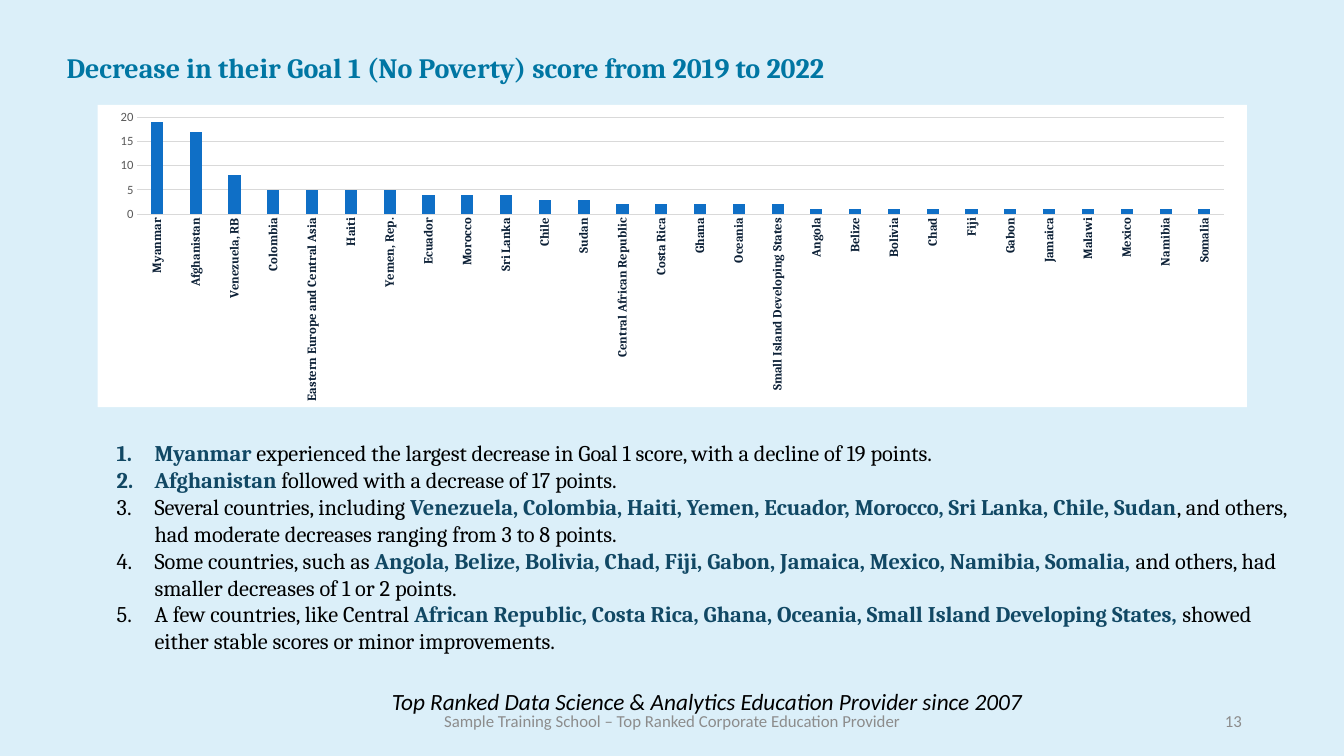
from lxml import etree
from pptx import Presentation
from pptx.chart.data import CategoryChartData
from pptx.dml.color import RGBColor
from pptx.enum.chart import XL_CHART_TYPE as ChartType, XL_TICK_MARK as TickMark
from pptx.enum.text import MSO_ANCHOR as Anchor, PP_ALIGN as Align
from pptx.oxml import parse_xml
from pptx.oxml.ns import nsdecls, qn
from pptx.util import Pt

COLORS = {
    "background": "DBEFF9", "title": "0076A3", "accent": "114864",
    "text": "000000", "muted": "8C8C8C", "bar": "0F6FC6",
    "grid": "D9D9D9", "category": "0C2036", "value": "595959", "panel": "FFFFFF",
}

DECREASES = {
    19: ["Myanmar"],
    17: ["Afghanistan"],
    8: ["Venezuela, RB"],
    5: ["Colombia", "Eastern Europe and Central Asia", "Haiti", "Yemen, Rep."],
    4: ["Ecuador", "Morocco", "Sri Lanka"],
    3: ["Chile", "Sudan"],
    2: ["Central African Republic", "Costa Rica", "Ghana", "Oceania",
        "Small Island Developing States"],
    1: ["Angola", "Belize", "Bolivia", "Chad", "Fiji", "Gabon", "Jamaica",
        "Malawi", "Mexico", "Namibia", "Somalia"],
}

FINDINGS = [
    ("", "Myanmar",
     " experienced the largest decrease in Goal 1 score, with a decline of 19 points."),
    ("", "Afghanistan", " followed with a decrease of 17 points."),
    ("Several countries, including ",
     "Venezuela, Colombia, Haiti, Yemen, Ecuador, Morocco, Sri Lanka, Chile, Sudan",
     ", and others, had moderate decreases ranging from 3 to 8 points."),
    ("Some countries, such as ",
     "Angola, Belize, Bolivia, Chad, Fiji, Gabon, Jamaica, Mexico, Namibia, Somalia,",
     " and others, had smaller decreases of 1 or 2 points."),
    ("A few countries, like Central ",
     "African Republic, Costa Rica, Ghana, Oceania, Small Island Developing States,",
     " showed either stable scores or minor improvements."),
]


def color(name):
    return RGBColor.from_string(COLORS[name])


def set_font(font, size, name, color_name, bold=False, italic=False):
    font.size = Pt(size)
    font.name = name
    font.color.rgb = color(color_name)
    font.bold = bold
    font.italic = italic


def add_title(slide, box, text):
    title = slide.shapes.title
    title.left, title.top, title.width, title.height = map(Pt, box)
    frame = title.text_frame
    frame.text = text
    frame.word_wrap = True
    frame.vertical_anchor = Anchor.TOP
    paragraph = frame.paragraphs[0]
    paragraph.alignment = Align.LEFT
    set_font(paragraph.font, 20, "Cambria", "title", bold=True)


def add_line_of_text(slide, box, text, size, color_name, alignment, italic=False):
    frame = slide.shapes.add_textbox(*map(Pt, box)).text_frame
    frame.word_wrap = True
    frame.vertical_anchor = Anchor.MIDDLE
    paragraph = frame.paragraphs[0]
    paragraph.text = text
    paragraph.alignment = alignment
    set_font(paragraph.font, size, "Calibri", color_name, italic=italic)


def add_findings(slide, box):
    frame = slide.shapes.add_textbox(*map(Pt, box)).text_frame
    frame.word_wrap = True
    for index, (before, countries, after) in enumerate(FINDINGS):
        paragraph = frame.add_paragraph() if index else frame.paragraphs[0]
        properties = paragraph._p.get_or_add_pPr()
        properties.set("marL", str(Pt(63)))
        properties.set("indent", str(Pt(-27)))
        etree.SubElement(properties, qn("a:buFont"), typeface="+mj-lt")
        etree.SubElement(properties, qn("a:buAutoNum"), type="arabicPeriod")
        for text, highlighted in ((before, False), (countries, True), (after, False)):
            if text:
                run = paragraph.add_run()
                run.text = text
                set_font(run.font, 16, "Cambria",
                         "accent" if highlighted else "text", bold=highlighted)


def add_decrease_chart(slide, box):
    data = CategoryChartData()
    data.categories = [name for names in DECREASES.values() for name in names]
    data.add_series("Series 1", [points for points, names in DECREASES.items() for _ in names])
    chart = slide.shapes.add_chart(ChartType.COLUMN_CLUSTERED, *map(Pt, box), data).chart
    chart.has_title = False
    chart.has_legend = False
    set_font(chart.font, 10, "Calibri", "text")
    chart._chartSpace.find(qn("c:txPr")).addprevious(parse_xml(
        f'<c:spPr {nsdecls("c", "a")}><a:solidFill><a:srgbClr val="{COLORS["panel"]}"/>'
        "</a:solidFill><a:ln><a:noFill/></a:ln></c:spPr>"))

    plot = chart.plots[0]
    plot.gap_width = 219
    plot.overlap = -27
    plot.vary_by_categories = False
    bars = plot.series[0].format.fill
    bars.solid()
    bars.fore_color.rgb = color("bar")

    categories, values = chart.category_axis, chart.value_axis
    for axis in (categories, values):
        axis.major_tick_mark = TickMark.NONE
        axis.minor_tick_mark = TickMark.NONE
    set_font(categories.tick_labels.font, 9, "Cambria", "category", bold=True)
    set_font(values.tick_labels.font, 9, "Calibri", "value")
    label_body = categories._element.find(qn("c:txPr")).find(qn("a:bodyPr"))
    label_body.set("rot", "-5400000")
    label_body.set("vert", "horz")
    values.minimum_scale, values.maximum_scale, values.major_unit = 0, 20, 5
    values.has_major_gridlines = True
    values.format.line.fill.background()
    for line in (categories.format.line, values.major_gridlines.format.line):
        line.color.rgb = color("grid")
        line.width = Pt(0.75)


def main():
    presentation = Presentation()
    presentation.slide_width, presentation.slide_height = Pt(960), Pt(540)
    slide = presentation.slides.add_slide(presentation.slide_layouts[5])
    slide.background.fill.solid()
    slide.background.fill.fore_color.rgb = color("background")

    add_title(slide, (40.3, 32.4, 648.7, 31.7),
              "Decrease in their Goal 1 (No Poverty) score from 2019 to 2022")
    add_decrease_chart(slide, (69.8, 74.9, 820.8, 216))
    add_findings(slide, (40.3, 310.3, 897.8, 162))
    add_line_of_text(slide, (164.9, 486, 679.7, 30),
                     "Top Ranked Data Science & Analytics Education Provider since 2007",
                     16.6, "text", Align.CENTER, italic=True)
    add_line_of_text(slide, (306.7, 500.4, 347, 28.8),
                     "Sample Training School – Top Ranked Corporate Education Provider",
                     12, "muted", Align.CENTER)
    add_line_of_text(slide, (678.2, 500.4, 216, 28.8), "13", 12, "muted", Align.RIGHT)
    presentation.save("out.pptx")


if __name__ == "__main__":
    main()
